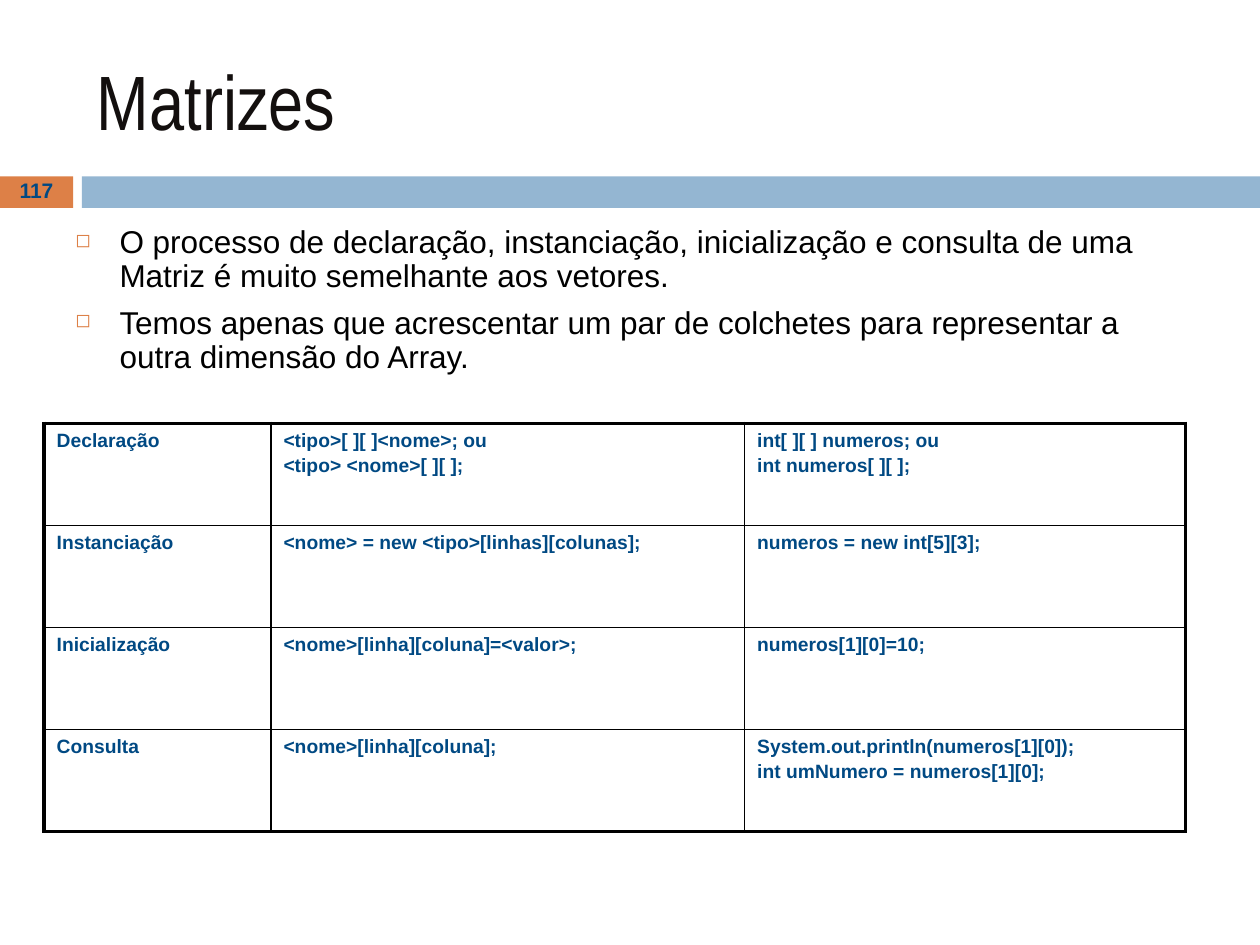
from lxml.etree import SubElement
from pptx import Presentation
from pptx.dml.color import RGBColor
from pptx.enum.shapes import MSO_SHAPE as Shape
from pptx.enum.text import MSO_ANCHOR as Anchor, PP_ALIGN as Align
from pptx.oxml.ns import qn
from pptx.util import Inches, Pt

# Content
TITLE = "Matrizes"
PAGE_NUMBER = "117"
BULLETS = [
    "O processo de declaração, instanciação, inicialização e consulta de uma "
    "Matriz é muito semelhante aos vetores.",
    "Temos apenas que acrescentar um par de colchetes para representar a "
    "outra dimensão do Array.",
]
ROWS = [
    ("Declaração", "<tipo>[ ][ ]<nome>; ou\n<tipo> <nome>[ ][ ];",
     "int[ ][ ] numeros; ou\nint numeros[ ][ ];"),
    ("Instanciação", "<nome> = new <tipo>[linhas][colunas];",
     "numeros = new int[5][3];"),
    ("Inicialização", "<nome>[linha][coluna]=<valor>;", "numeros[1][0]=10;"),
    ("Consulta", "<nome>[linha][coluna];",
     "System.out.println(numeros[1][0]);\nint umNumero = numeros[1][0];"),
]

# Style and layout, in inches and points
COLORS = {"orange": "DD8047", "blue": "94B6D2", "navy": "004983",
          "title": "130F0E", "black": "000000"}
WIDTH, HEIGHT = 10, 7.5
BAND_TOP, BAND_HEIGHT = 1.4, 0.25
NUMBER_WIDTH, BAND_LEFT = 0.58, 0.65
TABLE_LEFT, TABLE_TOP = 0.35, 3.36
COLUMN_WIDTHS, ROW_HEIGHT = (1.8, 3.76, 3.5), 0.81
OUTER_LINE, INNER_LINE = 2.25, 1
INDENT = 0.35


def color(name):
    return RGBColor.from_string(COLORS[name])


def add_band(slide, left, width, fill):
    band = slide.shapes.add_shape(Shape.RECTANGLE, Inches(left), Inches(BAND_TOP),
                                  Inches(width), Inches(BAND_HEIGHT))
    band.shadow.inherit = False
    band.fill.solid()
    band.fill.fore_color.rgb = color(fill)
    band.line.fill.background()


def write(text_frame, text, size, ink, font="Arial", bold=False):
    text_frame.text = text
    text_frame.word_wrap = True
    for paragraph in text_frame.paragraphs:
        for run in paragraph.runs:
            run.font.size, run.font.name, run.font.bold = Pt(size), font, bold
            run.font.color.rgb = color(ink)


def add_text(slide, box, text, size, ink, anchor=Anchor.TOP, **style):
    shape = slide.shapes.add_textbox(*map(Inches, box))
    text_frame = shape.text_frame
    write(text_frame, text, size, ink, **style)
    text_frame.vertical_anchor = anchor
    return text_frame.paragraphs


def add_bullet(paragraph):
    properties = paragraph._p.get_or_add_pPr()
    properties.set("marL", str(Inches(INDENT)))
    properties.set("indent", str(-Inches(INDENT)))
    bullet_color = SubElement(properties, qn("a:buClr"))
    SubElement(bullet_color, qn("a:srgbClr"), val=COLORS["orange"])
    SubElement(properties, qn("a:buSzPct"), val="60000")
    SubElement(properties, qn("a:buChar"), char="◻")


def set_borders(cell, outer_sides):
    properties = cell._tc.get_or_add_tcPr()
    for position, side in enumerate(("L", "R", "T", "B")):
        width = OUTER_LINE if side in outer_sides else INNER_LINE
        line = properties.makeelement(qn(f"a:ln{side}"), {"w": str(Pt(width))})
        fill = SubElement(line, qn("a:solidFill"))
        SubElement(fill, qn("a:srgbClr"), val=COLORS["black"])
        properties.insert(position, line)


def add_code_table(slide):
    frame = slide.shapes.add_table(
        len(ROWS), len(COLUMN_WIDTHS), Inches(TABLE_LEFT), Inches(TABLE_TOP),
        Inches(sum(COLUMN_WIDTHS)), Inches(ROW_HEIGHT * len(ROWS)))
    table = frame.table
    table.first_row = table.horz_banding = False
    for column, width in zip(table.columns, COLUMN_WIDTHS):
        column.width = Inches(width)
    for r, texts in enumerate(ROWS):
        table.rows[r].height = Inches(ROW_HEIGHT)
        for c, text in enumerate(texts):
            cell = table.cell(r, c)
            write(cell.text_frame, text, 11, "navy", bold=True)
            for paragraph in cell.text_frame.paragraphs[1:]:
                paragraph.space_before = Pt(2.2)
            cell.fill.background()
            edges = {"L": c == 0, "R": c == len(texts) - 1,
                     "T": r == 0, "B": r == len(ROWS) - 1}
            set_borders(cell, [side for side, outer in edges.items() if outer])


def main():
    presentation = Presentation()
    presentation.slide_width, presentation.slide_height = Inches(WIDTH), Inches(HEIGHT)
    slide = presentation.slides.add_slide(presentation.slide_layouts[6])

    # Band with the page number
    add_band(slide, 0, NUMBER_WIDTH, "orange")
    add_band(slide, BAND_LEFT, WIDTH - BAND_LEFT, "blue")
    number = add_text(slide, (0, BAND_TOP - 0.01, NUMBER_WIDTH, BAND_HEIGHT + 0.02),
                      PAGE_NUMBER, 12, "navy", Anchor.MIDDLE, bold=True)[0]
    number.alignment = Align.CENTER
    number.line_spacing = 0.8

    # Title and bullets
    add_text(slide, (0.67, 0.25, 8.92, 1.08), TITLE, 44, "title",
             Anchor.MIDDLE, font="Arial Narrow")
    bullets = add_text(slide, (0.5, 1.75, 9.08, 1.58), "\n".join(BULLETS), 18, "black")
    for index, paragraph in enumerate(bullets):
        paragraph.line_spacing = 0.9
        paragraph.space_before = Pt(7 if index else 0)
        add_bullet(paragraph)

    # Syntax table
    add_code_table(slide)
    presentation.save("out.pptx")


if __name__ == "__main__":
    main()
